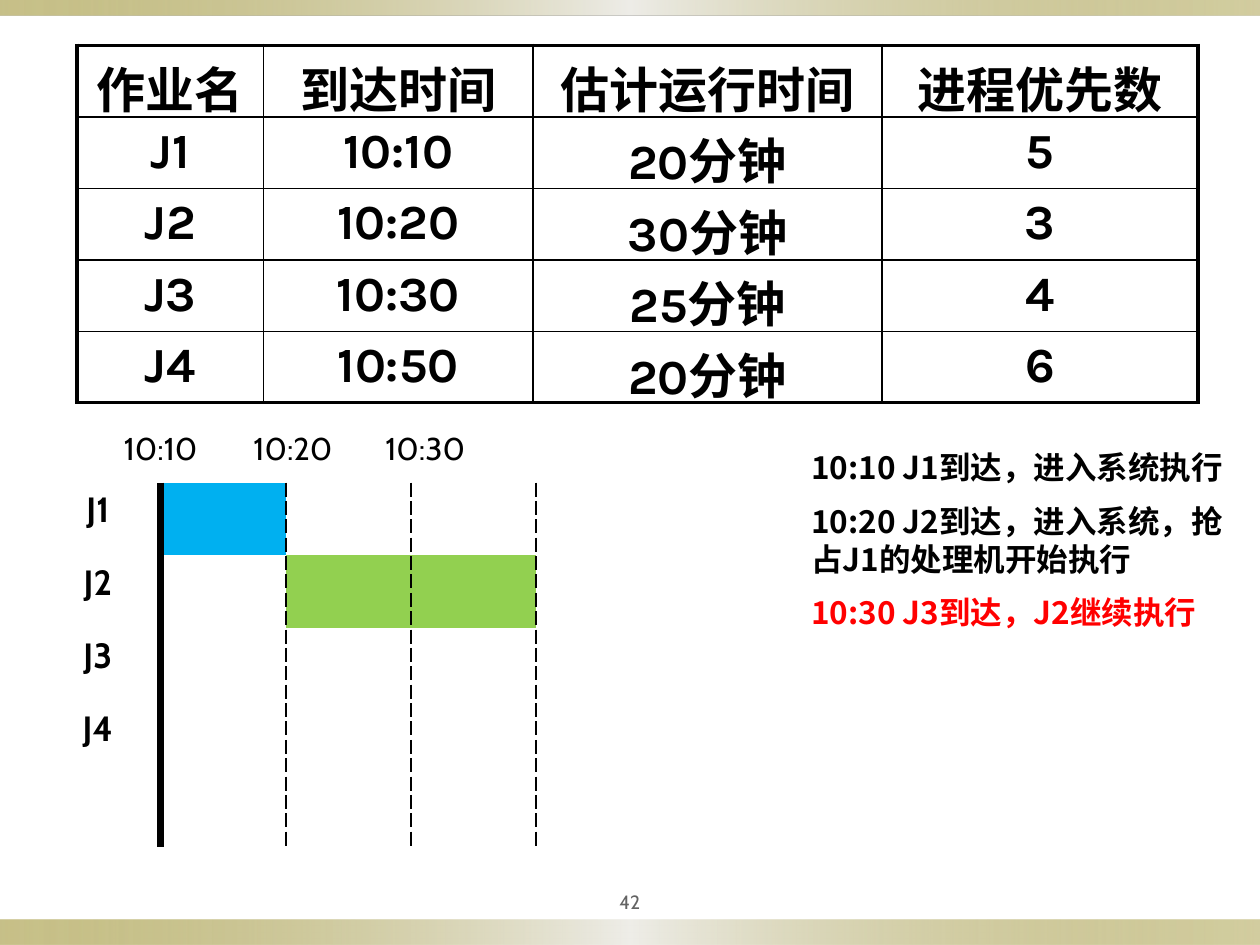
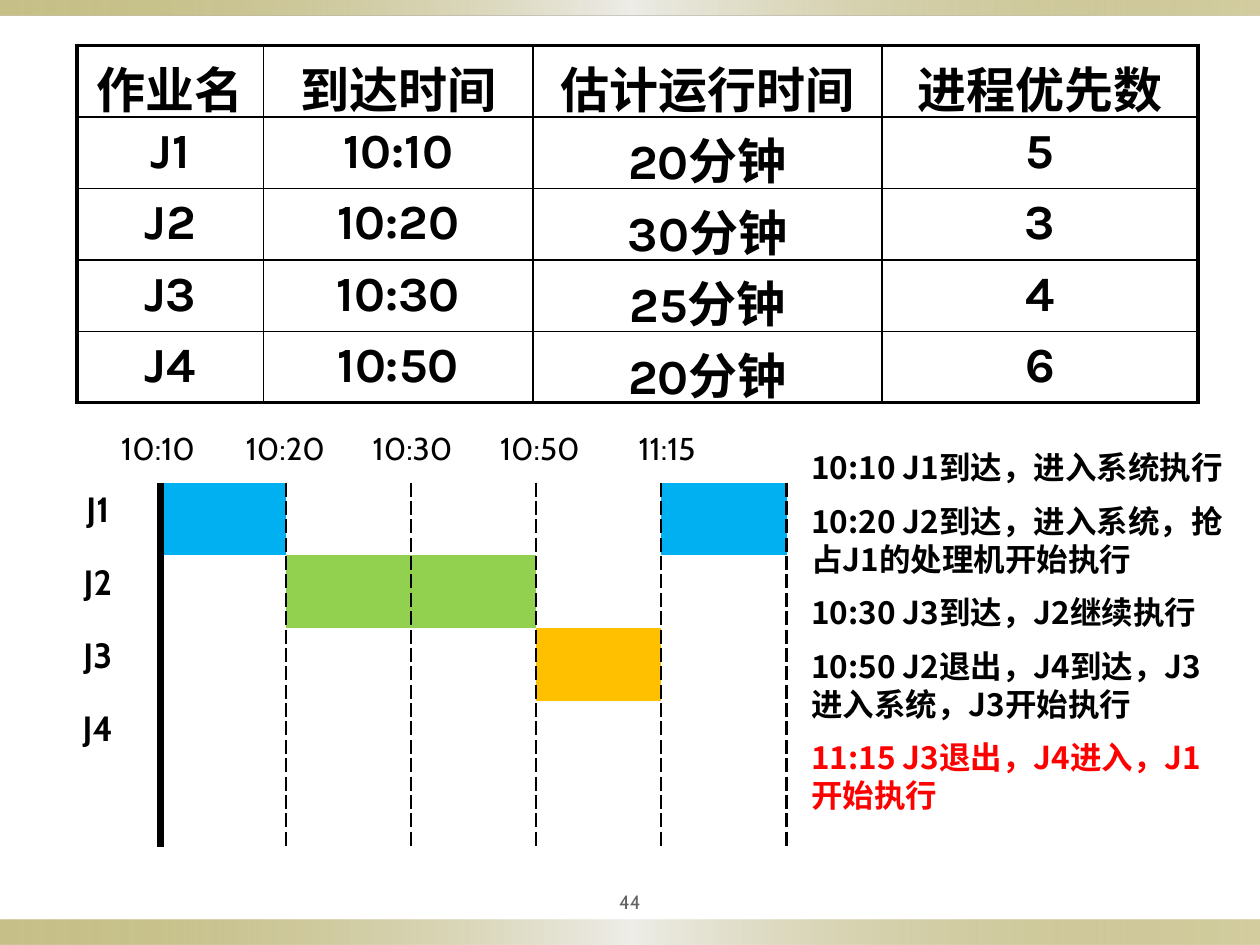
from lxml import etree
from pptx import Presentation
from pptx.dml.color import RGBColor
from pptx.enum.shapes import MSO_SHAPE
from pptx.enum.text import MSO_ANCHOR, PP_ALIGN
from pptx.oxml import parse_xml
from pptx.oxml.ns import nsdecls, qn
from pptx.util import Inches, Pt

BLACK, RED, GREY = "000000", "FF0000", "636363"
BLUE, GREEN, GOLD = "00B0F0", "92D050", "FFC000"
BODY, HEAD, NOTE = "Cabin", "Karla", "Noto Sans CJK SC"
PLAIN = "{2D5ABB26-0587-4C30-8999-92F81FD0307C}"  # no style, no grid

BANDS = [(7.3, 0.2), (0, 0.12)]  # top, height
STOPS = [(0, "918415", 50), (50, "EEEDE8", 100), (100, "918415", 40)]

JOBS = [
    ("作业名", "到达时间", "估计运行时间", "进程优先数"),
    ("J1", "10:10", "20分钟", "5"),
    ("J2", "10:20", "30分钟", "3"),
    ("J3", "10:30", "25分钟", "4"),
    ("J4", "10:50", "20分钟", "6"),
]
JOB_COLS = [1.48, 2.14, 2.77, 2.51]

EVENTS = [
    "10:10 J1到达，进入系统执行",
    "10:20 J2到达，进入系统，抢占J1的处理机开始执行",
    "10:30 J3到达，J2继续执行",
    "10:50 J2退出，J4到达，J3进入系统，J3开始执行",
    "11:15 J3退出，J4进入，J1开始执行",
]
TIMES = ["10:10", "10:20", "10:30", "10:50", "11:15"]
# (row, column): colour of the running job
RUNS = {(0, 1): BLUE, (1, 2): GREEN, (1, 3): GREEN, (2, 4): GOLD, (0, 5): BLUE}
CHART_ROWS, CHART_COLS = 5, 8

# num: page, seen: events so far, slot: width of a time label, last: last bar column
PAGES = [
    {"num": "42", "seen": 3, "slot": 1.05, "last": 3},
    {"num": "44", "seen": 5, "slot": 1.01, "last": 5},
]


def style(para, size, font, color=BLACK, bold=False, align=PP_ALIGN.CENTER):
    para.alignment = align
    for run in para.runs:
        run.font.size, run.font.name, run.font.bold = Pt(size), font, bold
        run.font.color.rgb = RGBColor.from_string(color)


def add_band(slide, top, height):
    band = slide.shapes.add_shape(
        MSO_SHAPE.RECTANGLE, 0, Inches(top), Inches(10), Inches(height))
    band.shadow.inherit = False
    band.line.fill.background()
    band.fill.gradient()
    band.fill.gradient_angle = 0
    stops = band.fill._fill._gradFill.find(qn("a:gsLst"))
    for stop in list(stops):
        stops.remove(stop)
    for pos, color, alpha in STOPS:
        stops.append(parse_xml(
            f'<a:gs {nsdecls("a")} pos="{pos * 1000}"><a:srgbClr val="{color}">'
            f'<a:alpha val="{alpha * 1000}"/></a:srgbClr></a:gs>'))


def add_edge(cell, side, width, dash="solid"):
    """Set one side (L, R, T or B) of a cell, width 0 for no line; call before its fill."""
    paint = (f'<a:solidFill><a:srgbClr val="{BLACK}"/></a:solidFill>'
             f'<a:prstDash val="{dash}"/>') if width else "<a:noFill/>"
    cell._tc.get_or_add_tcPr().append(parse_xml(
        f'<a:ln{side} {nsdecls("a")} w="{Pt(width)}">{paint}</a:ln{side}>'))


def add_grid(slide, left, top, cols, rows):
    """Add an unstyled table with the given column widths and row heights."""
    frame = slide.shapes.add_table(
        len(rows), len(cols), Inches(left), Inches(top),
        Inches(sum(cols)), Inches(sum(rows)))
    grid = frame.table
    grid.first_row = grid.horz_banding = False
    grid._tbl.tblPr.find(qn("a:tableStyleId")).text = PLAIN
    for col, width in zip(grid.columns, cols):
        col.width = Inches(width)
    for row, height in zip(grid.rows, rows):
        row.height = Inches(height)
    return grid


def fill_cell(cell, text, size, font, bold=False, color=None):
    if text:
        cell.text_frame.text = text
        style(cell.text_frame.paragraphs[0], size, font, bold=bold)
    if color:
        cell.fill.solid()
        cell.fill.fore_color.rgb = RGBColor.from_string(color)
    else:
        cell.fill.background()


def add_jobs(slide):
    grid = add_grid(slide, 0.61, 0.36, JOB_COLS, [2.83 / len(JOBS)] * len(JOBS))
    end_row, end_col = len(JOBS) - 1, len(JOB_COLS) - 1
    for r, job in enumerate(JOBS):
        for c, text in enumerate(job):
            cell = grid.cell(r, c)
            outer = {"L": c == 0, "R": c == end_col, "T": r == 0, "B": r == end_row}
            for side, thick in outer.items():
                add_edge(cell, side, 2.25 if thick else 1)
            fill_cell(cell, text, 28, HEAD, bold=True)


def add_times(slide, slot, count):
    grid = add_grid(slide, 0.75, 3.36, [slot] * 7, [0.39])
    for c in range(7):
        fill_cell(grid.cell(0, c), TIMES[c] if c < count else "", 18, BODY)


def add_chart_grid(slide, last):
    grid = add_grid(slide, 0.28, 3.83, [7.95 / CHART_COLS] * CHART_COLS,
                    [2.89 / CHART_ROWS] * CHART_ROWS)
    edges = {0: (4.5, "solid")}  # by the column to the left of the line
    edges.update({c: (1.5, "sysDash") for c in range(1, last + 1)})
    names = [job[0] for job in JOBS[1:]] + [""]
    for r, name in enumerate(names):
        for c in range(CHART_COLS):
            cell = grid.cell(r, c)
            for side, key in (("L", c - 1), ("R", c)):
                add_edge(cell, side, *edges.get(key, (0,)))
            color = RUNS.get((r, c)) if c <= last else None
            fill_cell(cell, "" if c else name, 20, BODY, True, color)


def add_box(slide, left, top, width, height):
    box = slide.shapes.add_textbox(*map(Inches, (left, top, width, height)))
    box.text_frame.word_wrap = True
    return box.text_frame


def add_events(slide, seen):
    frame = add_box(slide, 6.34, 3.51, 3.54, 1.62 if seen == 3 else 3.13)
    frame.text = "\n".join(EVENTS[:seen])
    for i, para in enumerate(frame.paragraphs):
        style(para, 18, NOTE, RED if i == seen - 1 else BLACK, True, PP_ALIGN.LEFT)
        for run in para.runs:
            etree.SubElement(run.font._element, qn("a:ea"), typeface=NOTE)
        if i:
            para.space_before = Pt(9)


def add_number(slide, num):
    frame = add_box(slide, 4.5, 7, 1, 0.31)
    frame.vertical_anchor = MSO_ANCHOR.MIDDLE
    frame.margin_left = frame.margin_right = Inches(0.05)
    frame.text = num
    style(frame.paragraphs[0], 11, BODY, GREY)


def main():
    deck = Presentation()
    deck.slide_width, deck.slide_height = Inches(10), Inches(7.5)
    for page in PAGES:
        slide = deck.slides.add_slide(deck.slide_layouts[6])
        for band in BANDS:
            add_band(slide, *band)
        add_number(slide, page["num"])
        add_jobs(slide)
        add_times(slide, page["slot"], page["seen"])
        add_chart_grid(slide, page["last"])
        add_events(slide, page["seen"])
    deck.save("out.pptx")


if __name__ == "__main__":
    main()
